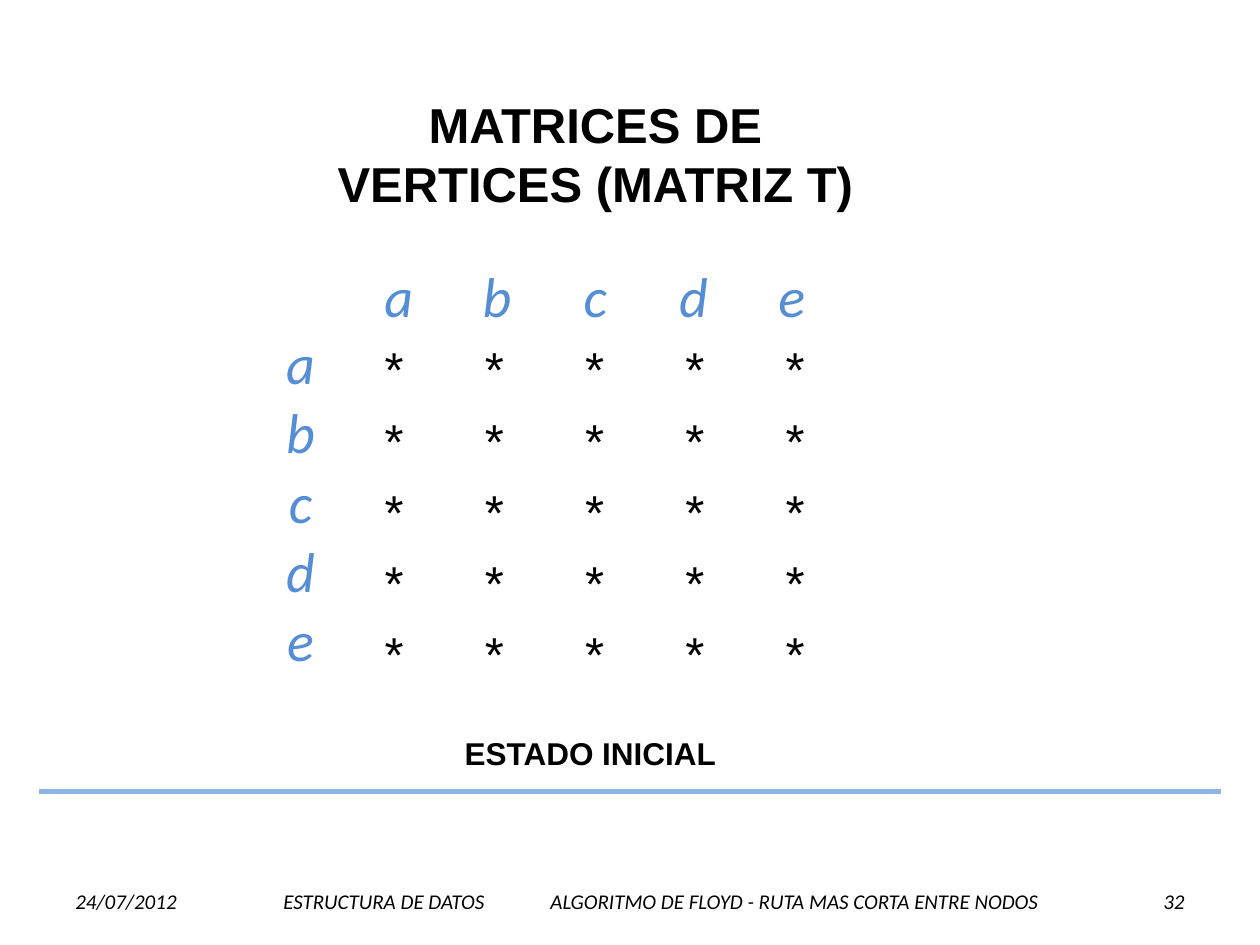
from dataclasses import dataclass

from lxml.etree import SubElement
from pptx import Presentation
from pptx.dml.color import RGBColor
from pptx.enum.shapes import MSO_CONNECTOR
from pptx.enum.text import MSO_ANCHOR, MSO_AUTO_SIZE, PP_ALIGN
from pptx.oxml.ns import qn
from pptx.util import Inches, Pt

BLACK = RGBColor(0x00, 0x00, 0x00)
VERTEX_BLUE = RGBColor(0x55, 0x8E, 0xD5)
RULE_BLUE = RGBColor(0x8E, 0xB4, 0xE3)
VERTICES = "abcde"


@dataclass(frozen=True)
class Style:
    font: str
    size: int
    color: RGBColor = BLACK
    bold: bool = False
    italic: bool = False


@dataclass(frozen=True)
class Label:
    text: str
    left: float
    top: float
    width: float
    height: float
    style: Style
    align: PP_ALIGN = PP_ALIGN.CENTER
    anchor: MSO_ANCHOR = MSO_ANCHOR.TOP


TITLE = Style("Arial", 28, bold=True)
CAPTION = Style("Arial", 18, bold=True)
VERTEX = Style("Calibri", 32, VERTEX_BLUE, italic=True)
FOOTER = Style("Calibri", 12, italic=True)
ENTRY = Style("Arial", 28)


def write(frame, text: str, style: Style, align: PP_ALIGN) -> None:
    para = frame.paragraphs[0]
    para.alignment = align
    span = para.add_run()
    span.text = text
    span.font.name = style.font
    span.font.size = Pt(style.size)
    span.font.bold = style.bold
    span.font.italic = style.italic
    span.font.color.rgb = style.color


def fill_box(box, label: Label) -> None:
    box.left, box.top = Inches(label.left), Inches(label.top)
    box.width, box.height = Inches(label.width), Inches(label.height)
    frame = box.text_frame
    frame.word_wrap = True
    frame.auto_size = MSO_AUTO_SIZE.NONE
    frame.vertical_anchor = label.anchor
    write(frame, label.text, label.style, label.align)


def add_label(page, label: Label) -> None:
    box = page.shapes.add_textbox(0, 0, 0, 0)
    fill_box(box, label)


def footer(text: str, left: float, width: float, align: PP_ALIGN = PP_ALIGN.LEFT) -> Label:
    return Label(text, left, 6.95, width, 0.4, FOOTER, align, MSO_ANCHOR.MIDDLE)


def add_rule(page) -> None:
    rule = page.shapes.add_connector(
        MSO_CONNECTOR.STRAIGHT, Inches(0.31), Inches(6.28), Inches(9.69), Inches(6.28)
    )
    rule.line.color.rgb = RULE_BLUE
    rule.line.width = Pt(3)
    SubElement(rule.element.spPr, qn("a:effectLst"))


def add_matrix(page) -> None:
    count = len(VERTICES)
    table = page.shapes.add_table(
        count, count, Inches(2.73), Inches(2.66), Inches(3.98), Inches(2.83)
    ).table
    table.first_row = False
    table.horz_banding = False
    for cell in table.iter_cells():
        cell.fill.background()
        cell.vertical_anchor = MSO_ANCHOR.MIDDLE
        write(cell.text_frame, "*", ENTRY, PP_ALIGN.CENTER)


deck = Presentation()
deck.slide_width, deck.slide_height = Inches(10), Inches(7.5)
page = deck.slides.add_slide(deck.slide_layouts[5])

add_rule(page)
fill_box(page.shapes.title, Label("MATRICES DE VERTICES (MATRIZ T)", 2.42, 0.7, 4.61, 1.04, TITLE))

for index, vertex in enumerate(VERTICES):
    add_label(page, Label(vertex, 2.58 + 0.78 * index, 2.03, 1.17, 0.64, VERTEX))
    add_label(page, Label(vertex, 1.8, 2.56 + 0.55 * index, 1.17, 0.64, VERTEX))

add_matrix(page)
add_label(page, Label("ESTADO INICIAL", 3.59, 5.78, 2.27, 0.4, CAPTION, PP_ALIGN.LEFT))

for label in (
    footer("24/07/2012", 0.5, 1.14),
    footer("ESTRUCTURA DE DATOS", 2.15, 2.0),
    footer("ALGORITMO DE FLOYD - RUTA MAS CORTA ENTRE NODOS", 4.27, 4.48),
    footer("32", 8.83, 0.67, PP_ALIGN.RIGHT),
):
    add_label(page, label)

deck.save("out.pptx")
